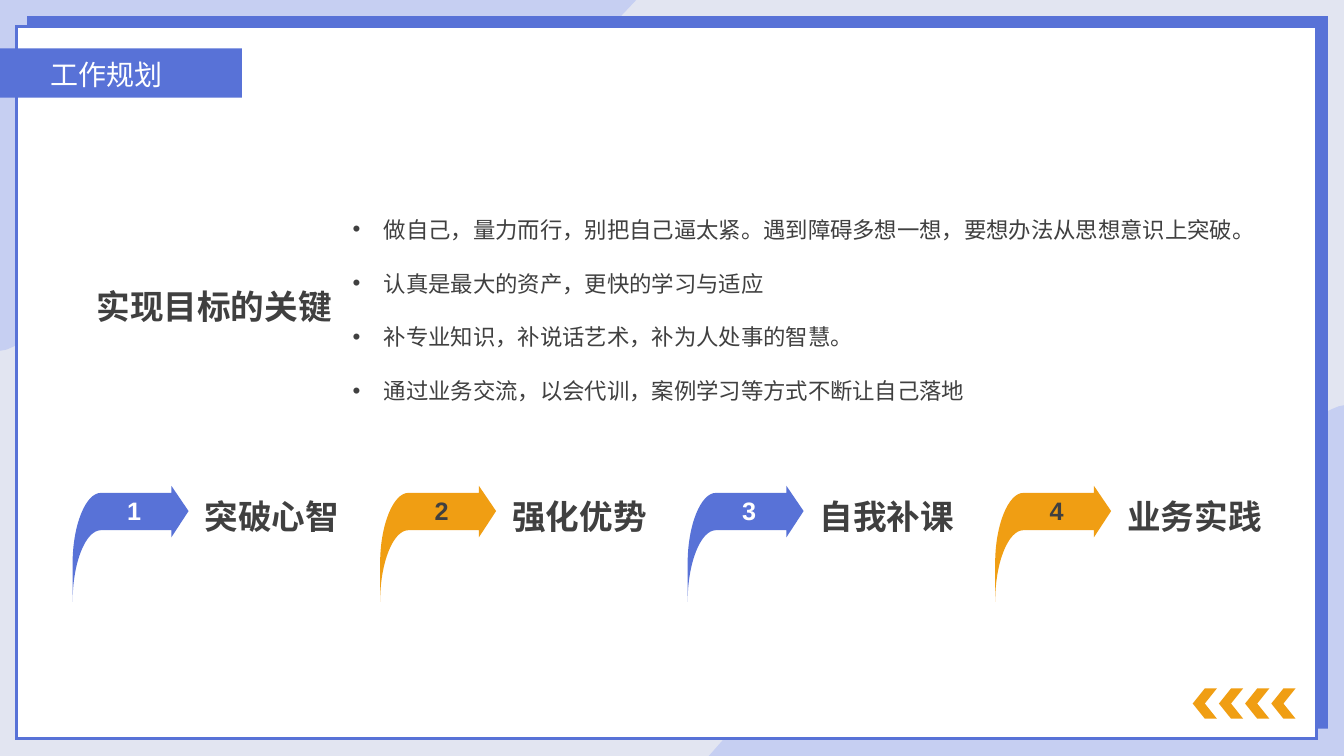
"""Build the work plan slide with four key steps."""
from lxml.etree import SubElement
from pptx import Presentation
from pptx.dml.color import RGBColor
from pptx.enum.shapes import MSO_SHAPE
from pptx.enum.text import MSO_ANCHOR, MSO_AUTO_SIZE, PP_ALIGN
from pptx.oxml.ns import qn
from pptx.util import Inches, Pt

TITLE = "工作规划"
HEADING = "实现目标的关键"
KEYS = [
    "做自己，量力而行，别把自己逼太紧。遇到障碍多想一想，要想办法从思想意识上突破。",
    "认真是最大的资产，更快的学习与适应",
    "补专业知识，补说话艺术，补为人处事的智慧。",
    "通过业务交流，以会代训，案例学习等方式不断让自己落地",
]
STEPS = [
    ("突破心智", "blue", "white"),
    ("强化优势", "orange", "text"),
    ("自我补课", "blue", "white"),
    ("业务实践", "orange", "text"),
]
COLORS = {
    "white": "FFFFFF",
    "text": "404040",
    "blue": "5872D7",
    "orange": "F09E13",
    "pale": "E2E5F1",
    "wave": "C6CFF2",
}
CJK_FONT = "Noto Sans CJK SC"
WIDTH, HEIGHT = 13.33, 7.5
STEP_PITCH = 3.05
CHEVRON_PITCH = 0.26

# Pairs are line ends; six numbers are two control points and a curve end.
BOTTOM_WAVE = [
    (13.33, 4.02), (13.33, 7.5), (7.03, 7.5), (7.18, 7.33),
    (7.74, 6.76, 8.29, 6.26, 8.86, 5.95),
    (9.78, 5.45, 10.87, 5.75, 11.66, 5.42),
    (12.35, 5.13, 12.59, 4.29, 13.28, 4.03),
]
TOP_WAVE = [
    (0, 3.48), (0, 0), (6.31, 0), (6.15, 0.17),
    (5.6, 0.74, 5.04, 1.24, 4.47, 1.55),
    (3.56, 2.05, 2.46, 1.75, 1.68, 2.08),
    (0.99, 2.37, 0.74, 3.21, 0.06, 3.47),
]
ARROW = [
    (1.87, 5.07), (1.7, 4.82), (1.7, 4.89), (1, 4.89),
    (0.85, 4.89, 0.72, 5.21, 0.72, 5.59), (0.72, 5.97),
    (0.72, 5.58, 0.85, 5.26, 1, 5.26), (1.7, 5.26), (1.7, 5.33),
]


def color(name):
    return RGBColor.from_string(COLORS[name])


def paint(shape, fill, line=None):
    shape.shadow.inherit = False
    shape.fill.solid()
    shape.fill.fore_color.rgb = color(fill)
    if line:
        shape.line.color.rgb = color(line)
        shape.line.width = Pt(2.25)
        SubElement(shape.line._get_or_add_ln(), qn("a:miter"), lim="800000")
    else:
        shape.line.fill.background()


def add_preset(slide, kind, box, fill, line=None):
    shape = slide.shapes.add_shape(kind, *map(Inches, box))
    paint(shape, fill, line)
    return shape


def add_outline(slide, outline, fill, shift=0):
    corners = [(Inches(piece[-2] + shift), Inches(piece[-1])) for piece in outline]
    builder = slide.shapes.build_freeform(*corners[0], scale=1.0)
    builder.add_line_segments(corners[1:], close=True)
    shape = builder.convert_to_shape()
    segments = list(shape._element.spPr.find(".//" + qn("a:moveTo")).getparent())
    for segment, piece in zip(segments, outline):
        if len(piece) == 6:
            segment.tag = qn("a:cubicBezTo")
            segment.remove(segment[0])
            for x, y in zip(piece[::2], piece[1::2]):
                SubElement(segment, qn("a:pt"), x=str(Inches(x + shift) - shape.left),
                           y=str(Inches(y) - shape.top))
    paint(shape, fill)


def add_bullet(paragraph):
    properties = paragraph._p.get_or_add_pPr()
    properties.set("marL", str(Inches(0.31)))
    properties.set("indent", str(-Inches(0.31)))
    SubElement(properties, qn("a:buFont"), typeface="Arial")
    SubElement(properties, qn("a:buChar"), char="•")


def add_text(slide, box, lines, size, fill="text", bold=False, font="Arial",
             frame_format=None, paragraph_format=None, bullets=False, gap=0):
    text_box = slide.shapes.add_textbox(*map(Inches, box))
    frame = text_box.text_frame
    for name, value in {"word_wrap": True, **(frame_format or {})}.items():
        setattr(frame, name, value)
    for index, line in enumerate(lines):
        paragraph = frame.add_paragraph() if index else frame.paragraphs[0]
        for name, value in (paragraph_format or {}).items():
            setattr(paragraph, name, value)
        if index and gap:
            paragraph.space_before = Pt(gap)
        if bullets:
            add_bullet(paragraph)
        run = paragraph.add_run()
        run.text = line
        for name, value in {"size": Pt(size), "bold": bold, "name": font}.items():
            setattr(run.font, name, value)
        run.font.color.rgb = color(fill)
        SubElement(run._r.get_or_add_rPr(), qn("a:ea"), typeface=CJK_FONT)


def add_frame(slide):
    add_preset(slide, MSO_SHAPE.RECTANGLE, (0, 0, WIDTH, HEIGHT), "pale")
    for wave in (BOTTOM_WAVE, TOP_WAVE):
        add_outline(slide, wave, "wave")
    add_preset(slide, MSO_SHAPE.RECTANGLE, (0.27, 0.16, 12.9, 7.07), "blue")
    add_preset(slide, MSO_SHAPE.RECTANGLE, (0.16, 0.26, 12.9, 7.07), "white", "blue")
    add_preset(slide, MSO_SHAPE.RECTANGLE, (-1.15, 0.48, 3.55, 0.49), "blue")
    add_text(slide, (0.4, 0.52, 1.9, 0.44), [TITLE], 20, "white", font=CJK_FONT,
             paragraph_format={"alignment": PP_ALIGN.JUSTIFY})
    for index in range(4):
        box = (11.83 + index * CHEVRON_PITCH, 6.83, 0.24, 0.3)
        chevron = add_preset(slide, MSO_SHAPE.CHEVRON, box, "orange")
        chevron._element.spPr.get_or_add_xfrm().set("flipH", "1")


def add_steps(slide):
    tight = {
        "margin_left": 0, "margin_right": 0, "margin_top": 0, "margin_bottom": 0,
        "vertical_anchor": MSO_ANCHOR.MIDDLE,
        "auto_size": MSO_AUTO_SIZE.SHAPE_TO_FIT_TEXT,
    }
    for index, (label, fill, number_color) in enumerate(STEPS):
        shift = index * STEP_PITCH
        add_outline(slide, ARROW, fill, shift)
        add_text(slide, (0.28 + shift, 4.91, 2.1, 0.3), [str(index + 1)], 18,
                 number_color, True, frame_format=tight,
                 paragraph_format={"alignment": PP_ALIGN.CENTER, "space_after": Pt(12)})
        add_text(slide, (2.03 + shift, 4.75, 1.65, 0.53), [label], 24, bold=True,
                 frame_format=tight,
                 paragraph_format={"line_spacing": 1.5, "space_after": Pt(12)})


def main():
    presentation = Presentation()
    presentation.slide_width = Inches(WIDTH)
    presentation.slide_height = Inches(HEIGHT)
    slide = presentation.slides.add_slide(presentation.slide_layouts[6])
    add_frame(slide)
    add_text(slide, (0.86, 2.79, 4.43, 0.54), [HEADING], 24, bold=True,
             frame_format={"vertical_anchor": MSO_ANCHOR.MIDDLE},
             paragraph_format={"line_spacing": 0.9})
    add_text(slide, (3.4, 2.09, 9.04, 2.26), KEYS, 16, bullets=True, gap=19,
             paragraph_format={"line_spacing": Pt(19.4)})
    add_steps(slide)
    presentation.save("out.pptx")


if __name__ == "__main__":
    main()
